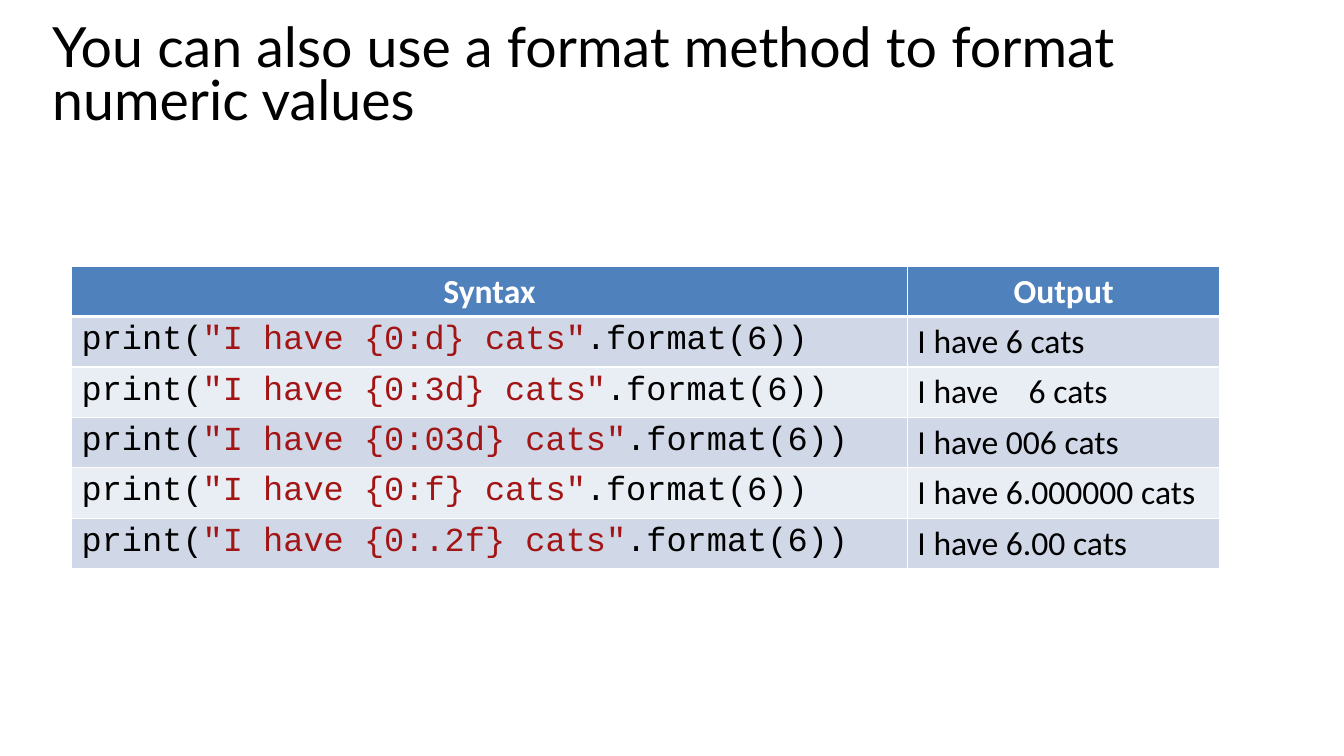
import pptx
import pptx.dml.color
import pptx.enum.text
import pptx.oxml
import pptx.oxml.ns
import pptx.util


def color(hex_string):
    """Turn a hex string into a colour."""
    return pptx.dml.color.RGBColor.from_string(hex_string)


def style_cell(cell, fill, bottom_width):
    """Fill a cell and give it white borders, the lower one in its own width."""
    cell.fill.solid()
    cell.fill.fore_color.rgb = color(fill)
    properties = cell._tc.get_or_add_tcPr()
    widths = {"lnL": 1, "lnR": 1, "lnT": 1, "lnB": bottom_width}
    for position, (side, width) in enumerate(widths.items()):
        border = pptx.oxml.parse_xml(
            f'<a:{side} {pptx.oxml.ns.nsdecls("a")} w="{pptx.util.Pt(width)}">'
            f'<a:solidFill><a:srgbClr val="FFFFFF"/></a:solidFill></a:{side}>')
        properties.insert(position, border)


presentation = pptx.Presentation()
presentation.slide_width = pptx.util.Inches(13.33)
presentation.slide_height = pptx.util.Inches(7.5)
slide = presentation.slides.add_slide(presentation.slide_layouts[6])

# Title
title = slide.shapes.add_textbox(
    pptx.util.Inches(0.42), pptx.util.Inches(0.2),
    pptx.util.Inches(12.6), pptx.util.Inches(1.16))
title.text_frame.word_wrap = True
paragraph = title.text_frame.paragraphs[0]
paragraph.text = "You can also use a format method to format numeric values"
paragraph.line_spacing = 0.8
paragraph.font.name = "Lato"
paragraph.font.size = pptx.util.Pt(39.6)
paragraph.font.color.rgb = color("000000")

# Table of format codes and their output
headings = ["Syntax", "Output"]
examples = [
    ("d", "6"),
    ("3d", "   6"),
    ("03d", "006"),
    ("f", "6.000000"),
    (".2f", "6.00"),
]
column_widths = [8.29, 3.1]
row_height = 0.5
row_count = len(examples) + 1
table = slide.shapes.add_table(
    row_count, len(headings),
    pptx.util.Inches(0.71), pptx.util.Inches(2.64),
    pptx.util.Inches(sum(column_widths)),
    pptx.util.Inches(row_height * row_count)).table
for column, width in zip(table.columns, column_widths):
    column.width = pptx.util.Inches(width)

for cell, heading in zip(table.rows[0].cells, headings):
    style_cell(cell, "4F81BD", 3)
    paragraph = cell.text_frame.paragraphs[0]
    paragraph.text = heading
    paragraph.alignment = pptx.enum.text.PP_ALIGN.CENTER
    paragraph.font.name = "Calibri"
    paragraph.font.size = pptx.util.Pt(24)
    paragraph.font.bold = True
    paragraph.font.color.rgb = color("FFFFFF")

for row, (format_code, number) in enumerate(examples, start=1):
    literal = f'"I\u00a0have\u00a0{{0:{format_code}}}\u00a0cats"'
    syntax = [("print(", "000000"), (literal, "A31515"), (".format(6))", "000000")]
    output = [(f"I have {number} cats", "000000")]
    row_fill = "D0D8E8" if row % 2 else "E9EDF4"
    for cell, pieces, font_name in zip(
            table.rows[row].cells, [syntax, output], ["Courier New", "Calibri"]):
        style_cell(cell, row_fill, 1)
        paragraph = cell.text_frame.paragraphs[0]
        paragraph.font.name = font_name
        paragraph.font.size = pptx.util.Pt(24)
        for text, text_color in pieces:
            run = paragraph.add_run()
            run.text = text
            run.font.color.rgb = color(text_color)

presentation.save("out.pptx")
